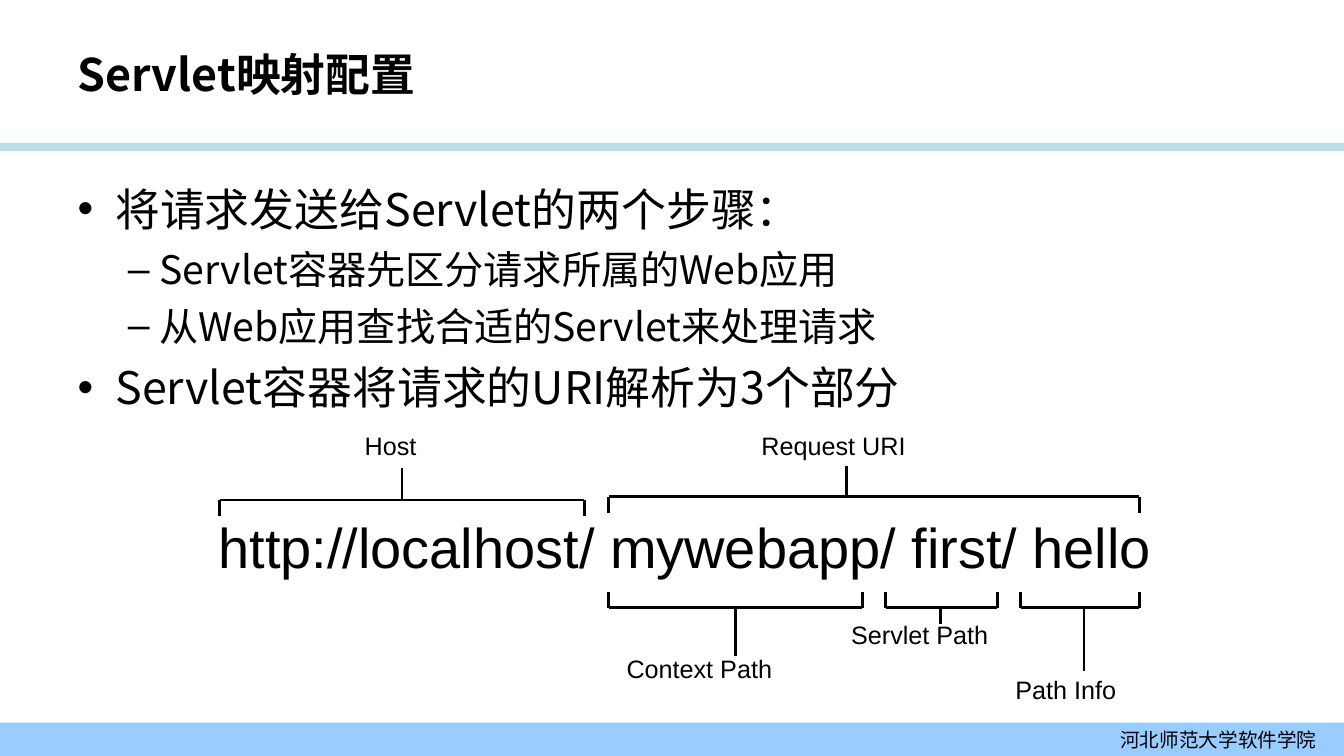
import pptx
import pptx.util
import pptx.dml.color
import pptx.enum.shapes
import pptx.enum.text
import pptx.oxml.ns
import lxml.etree

SLIDE_W, SLIDE_H = 13.34, 7.5
COLORS = {"text": "000000", "rule": "BBE0E3", "footer": "99CCFF"}
HAN, LATIN = "Noto Sans CJK SC", "Arial"
ALIGN = pptx.enum.text.PP_ALIGN
ANCHOR = pptx.enum.text.MSO_ANCHOR
FIT = pptx.enum.text.MSO_AUTO_SIZE

BULLETS = [
    (0, "将请求发送给Servlet的两个步骤："),
    (1, "Servlet容器先区分请求所属的Web应用"),
    (1, "从Web应用查找合适的Servlet来处理请求"),
    (0, "Servlet容器将请求的URI解析为3个部分"),
]
LEVELS = [{"size": 32, "before": 8}, {"size": 28, "before": 7}]

TICK = 2.1
# left, right, spine row, tick direction, stem column, stem end, label, label box
BRACKETS = [
    (16.34, 43.48, 66.13, 1, 29.91, 61.87, "Host", (26.39, 56.27, 5.32, 5.33)),
    (45.28, 84.78, 65.73, 1, 62.97, 61.6, "Request URI", (55.92, 56.27, 12.22, 5.33)),
    (45.28, 64.17, 80.4, -1, 54.72, 86.8, "Context Path", (45.88, 85.73, 12.29, 5.33)),
    (65.89, 74.21, 80.4, -1, 70.01, 82.53, "Servlet Path", (62.59, 81.2, 11.69, 5.33)),
    (75.94, 84.78, 80.4, -1, 80.66, 88.8, "Path Info", (74.81, 88.53, 9, 5.33)),
]


def grid(*values):
    """Turn alternating columns and rows of a 100 by 100 grid into lengths."""
    sides = (SLIDE_W, SLIDE_H)
    return [pptx.util.Inches(v / 100 * sides[i % 2]) for i, v in enumerate(values)]


def rgb(name):
    return pptx.dml.color.RGBColor.from_string(COLORS[name])


def set_all(obj, **formats):
    for name, value in formats.items():
        setattr(obj, name, value)


def place(sp, box):
    set_all(sp, **dict(zip(("left", "top", "width", "height"), grid(*box))))


def add_run(p, text, size, font, bold=False):
    r = p.add_run()
    r.text = text
    set_all(r.font, size=pptx.util.Pt(size), name=font, bold=bold)
    r.font.color.rgb = rgb("text")
    ea = lxml.etree.SubElement(r.font._element, pptx.oxml.ns.qn("a:ea"))
    ea.set("typeface", font)


def add_band(s, top, height, color):
    sp = s.shapes.add_shape(pptx.enum.shapes.MSO_SHAPE.RECTANGLE, *grid(0, top, 100, height))
    sp.shadow.inherit = False
    sp.fill.solid()
    sp.fill.fore_color.rgb = rgb(color)
    sp.line.fill.background()
    return sp


def add_footer(s, text):
    tf = add_band(s, 95.6, 4.4, "footer").text_frame
    set_all(tf, word_wrap=False, vertical_anchor=ANCHOR.MIDDLE,
            margin_right=pptx.util.Inches(0.27))
    p = tf.paragraphs[0]
    p.alignment = ALIGN.RIGHT
    add_run(p, text, 14, HAN)


def fill_title(sp, text):
    place(sp, (5.02, 4, 79.99, 11.6))
    tf = sp.text_frame
    set_all(tf, vertical_anchor=ANCHOR.MIDDLE, auto_size=FIT.NONE)
    p = tf.paragraphs[0]
    p.alignment = ALIGN.LEFT
    add_run(p, text, 32, HAN, bold=True)


def fill_bullets(sp, items):
    place(sp, (5.02, 23.33, 78.71, 72.27))
    tf = sp.text_frame
    tf.auto_size = FIT.NONE
    for i, (level, text) in enumerate(items):
        p = tf.add_paragraph() if i else tf.paragraphs[0]
        set_all(p, level=level, space_before=pptx.util.Pt(LEVELS[level]["before"]))
        add_run(p, text, LEVELS[level]["size"], HAN)


def add_label(s, text, box, size=18):
    """Add a one-line label; without a right margin the text has room to spare."""
    tf = s.shapes.add_textbox(*grid(*box)).text_frame
    set_all(tf, word_wrap=True, auto_size=FIT.NONE, margin_right=0)
    add_run(tf.paragraphs[0], text, size, LATIN)


def add_line(s, *ends):
    line = s.shapes.add_connector(pptx.enum.shapes.MSO_CONNECTOR.STRAIGHT, *grid(*ends))
    line.line.width = pptx.util.Pt(2)
    line.line.color.rgb = rgb("text")
    lxml.etree.SubElement(line._element.spPr, pptx.oxml.ns.qn("a:effectLst"))


def add_bracket(s, left, right, spine, direction, stem, stem_end, label, box):
    for x in (left, right):
        add_line(s, x, spine, x, spine + direction * TICK)
    add_line(s, left, spine, right, spine)
    add_line(s, stem, spine, stem, stem_end)
    add_label(s, label, box)


def main():
    prs = pptx.Presentation()
    prs.slide_width, prs.slide_height = grid(100, 100)
    s = prs.slides.add_slide(prs.slide_layouts[1])
    add_band(s, 18.93, 1.07, "rule")
    add_footer(s, "河北师范大学软件学院")
    fill_title(s.shapes.title, "Servlet映射配置")
    fill_bullets(s.placeholders[1], BULLETS)
    add_label(s, "http://localhost/ mywebapp/ first/ hello", (15.52, 67.2, 70.84, 10.27), 40)
    for bracket in BRACKETS:
        add_bracket(s, *bracket)
    prs.save("out.pptx")


if __name__ == "__main__":
    main()
